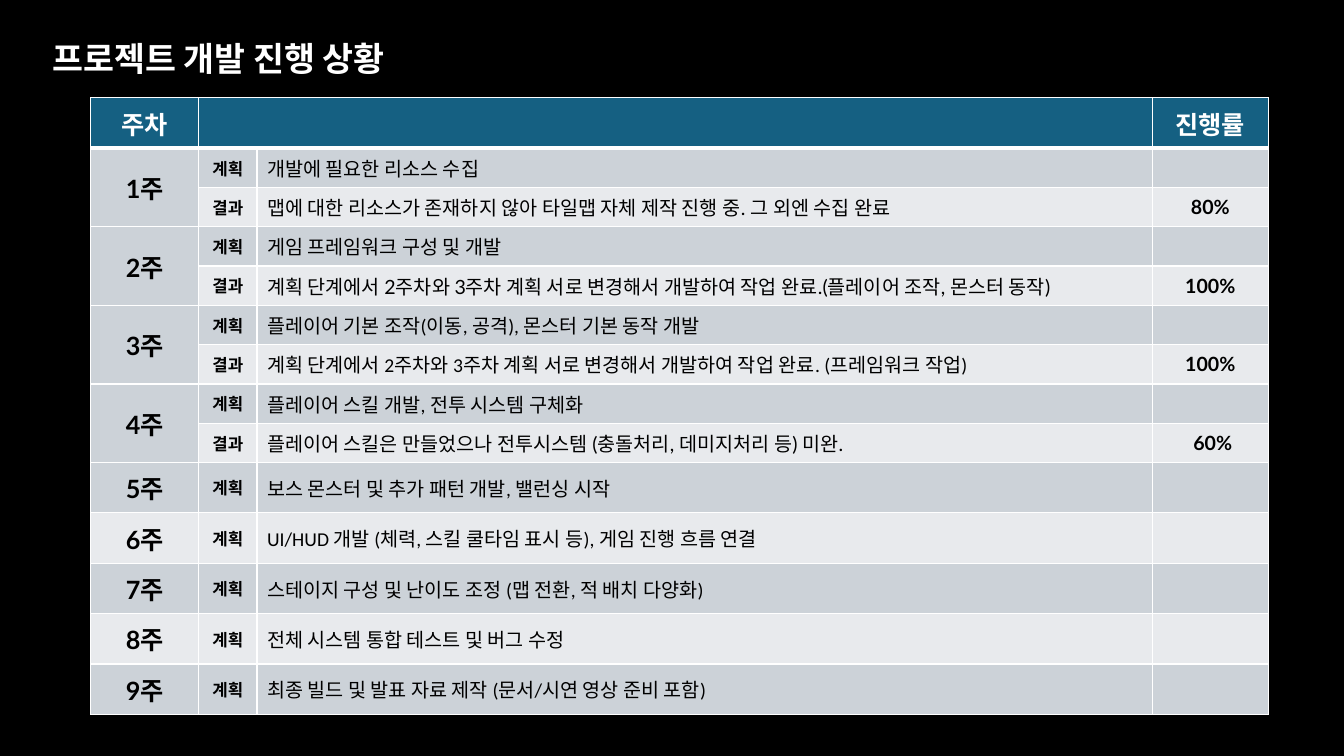
from dataclasses import dataclass

from lxml.etree import SubElement
from pptx import Presentation
from pptx.dml.color import RGBColor
from pptx.enum.text import MSO_ANCHOR, PP_ALIGN
from pptx.oxml.ns import qn
from pptx.util import Inches, Pt


@dataclass(frozen=True)
class Theme:
    black: str = "000000"
    white: str = "FFFFFF"
    header: str = "156082"
    dark_band: str = "CCD2D8"
    light_band: str = "E8EAED"
    heading_font: str = "Lato"
    body_font: str = "Calibri"
    title_size: int = 24
    week_size: int = 18
    body_size: int = 14
    label_size: int = 12


theme = Theme()


def write_text(frame, text, size=theme.body_size, color=theme.black, bold=False,
               font=theme.heading_font, align=PP_ALIGN.LEFT):
    paragraph = frame.paragraphs[0]
    paragraph.alignment = align
    run = paragraph.add_run()
    run.text = text
    run.font.name = font
    run.font.size = Pt(size)
    run.font.bold = bold
    run.font.color.rgb = RGBColor.from_string(color)
    return paragraph


def style_cell(cell, fill, top=1, bottom=1):
    properties = cell._tc.get_or_add_tcPr()
    for side, width in (("L", 1), ("R", 1), ("T", top), ("B", bottom)):
        line = SubElement(properties, qn(f"a:ln{side}"), w=str(Pt(width)))
        SubElement(SubElement(line, qn("a:solidFill")), qn("a:srgbClr"), val=theme.white)
    cell.fill.solid()
    cell.fill.fore_color.rgb = RGBColor.from_string(fill)
    cell.vertical_anchor = MSO_ANCHOR.MIDDLE
    # Empty cells need a small type size so that they do not stretch their row
    paragraph = cell.text_frame.paragraphs[0]
    SubElement(paragraph._p, qn("a:endParaRPr"), sz=str(theme.label_size * 100))


# Each week: plan, result, progress, font of the plan, font of the result
lato, calibri = theme.heading_font, theme.body_font
weeks = [
    ("개발에 필요한 리소스 수집",
     "맵에 대한 리소스가 존재하지 않아 타일맵 자체 제작 진행 중. 그 외엔 수집 완료", "80%", lato, lato),
    ("게임 프레임워크 구성 및 개발",
     "계획 단계에서 2주차와 3주차 계획 서로 변경해서 개발하여 작업 완료.(플레이어 조작, 몬스터 동작)",
     "100%", calibri, lato),
    ("플레이어 기본 조작(이동, 공격), 몬스터 기본 동작 개발",
     "계획 단계에서 2주차와 3주차 계획 서로 변경해서 개발하여 작업 완료. (프레임워크 작업)",
     "100%", calibri, calibri),
    ("플레이어 스킬 개발, 전투 시스템 구체화",
     "플레이어 스킬은 만들었으나 전투시스템 (충돌처리, 데미지처리 등) 미완.", " 60%", calibri, lato),
    ("보스 몬스터 및 추가 패턴 개발, 밸런싱 시작", None, None, calibri, None),
    ("UI/HUD 개발 (체력, 스킬 쿨타임 표시 등), 게임 진행 흐름 연결", None, None, calibri, None),
    ("스테이지 구성 및 난이도 조정 (맵 전환, 적 배치 다양화)", None, None, calibri, None),
    ("전체 시스템 통합 테스트 및 버그 수정", None, None, calibri, None),
    ("최종 빌드 및 발표 자료 제작 (문서/시연 영상 준비 포함)", None, None, calibri, None),
]

# Slide with a black background
presentation = Presentation()
presentation.slide_width = Inches(13.33)
presentation.slide_height = Inches(7.5)
slide = presentation.slides.add_slide(presentation.slide_layouts[6])
slide.background.fill.solid()
slide.background.fill.fore_color.rgb = RGBColor.from_string(theme.black)

# Title
title = slide.shapes.add_textbox(Inches(0.42), Inches(0.32), Inches(4.82), Inches(0.51))
title.text_frame.word_wrap = True
title.text_frame.vertical_anchor = MSO_ANCHOR.BOTTOM
title_paragraph = write_text(title.text_frame, "프로젝트 개발 진행 상황",
                             size=theme.title_size, color=theme.white, bold=True)
title_paragraph.line_spacing = 0.9

# Table grid: weeks with a result take two low rows, the others one tall row
column_widths = [1.07, 0.58, 8.88, 1.15]
row_heights = [0.5]
for plan, result, *rest in weeks:
    row_heights += [0.39, 0.39] if result else [0.5]
table = slide.shapes.add_table(len(row_heights), len(column_widths), Inches(0.9), Inches(0.97),
                               Inches(sum(column_widths)), Inches(sum(row_heights))).table
table.first_row = False
table.horz_banding = False
for column, width in zip(table.columns, column_widths):
    column.width = Inches(width)
for row, height in zip(table.rows, row_heights):
    row.height = Inches(height)

# Header row
week_format = dict(size=theme.week_size, bold=True, align=PP_ALIGN.CENTER)
for column, heading in enumerate(["주차", "", "", "진행률"]):
    cell = table.cell(0, column)
    if heading:
        write_text(cell.text_frame, heading, color=theme.white, **week_format)
    style_cell(cell, theme.header, bottom=3)
table.cell(0, 1).merge(table.cell(0, 2))

# Week rows: the bands alternate from row to row
row = 1
for number, (plan, result, progress, plan_font, result_font) in enumerate(weeks, 1):
    lines = [("계획", plan, None, plan_font)]
    if result:
        lines.append(("결과", result, progress, result_font))
    write_text(table.cell(row, 0).text_frame, f"{number}주", **week_format)
    for offset, (label, text, percent, font) in enumerate(lines):
        cells = [table.cell(row + offset, column) for column in range(4)]
        write_text(cells[1].text_frame, label, size=theme.label_size, bold=True,
                   align=PP_ALIGN.CENTER)
        write_text(cells[2].text_frame, text, font=font)
        if percent:
            write_text(cells[3].text_frame, percent, bold=True, align=PP_ALIGN.CENTER)
        band = theme.dark_band if (row + offset) % 2 else theme.light_band
        for cell in cells:
            style_cell(cell, band, top=3 if row + offset == 1 else 1)
    if result:
        table.cell(row, 0).merge(table.cell(row + 1, 0))
    row += len(lines)

presentation.save("out.pptx")
